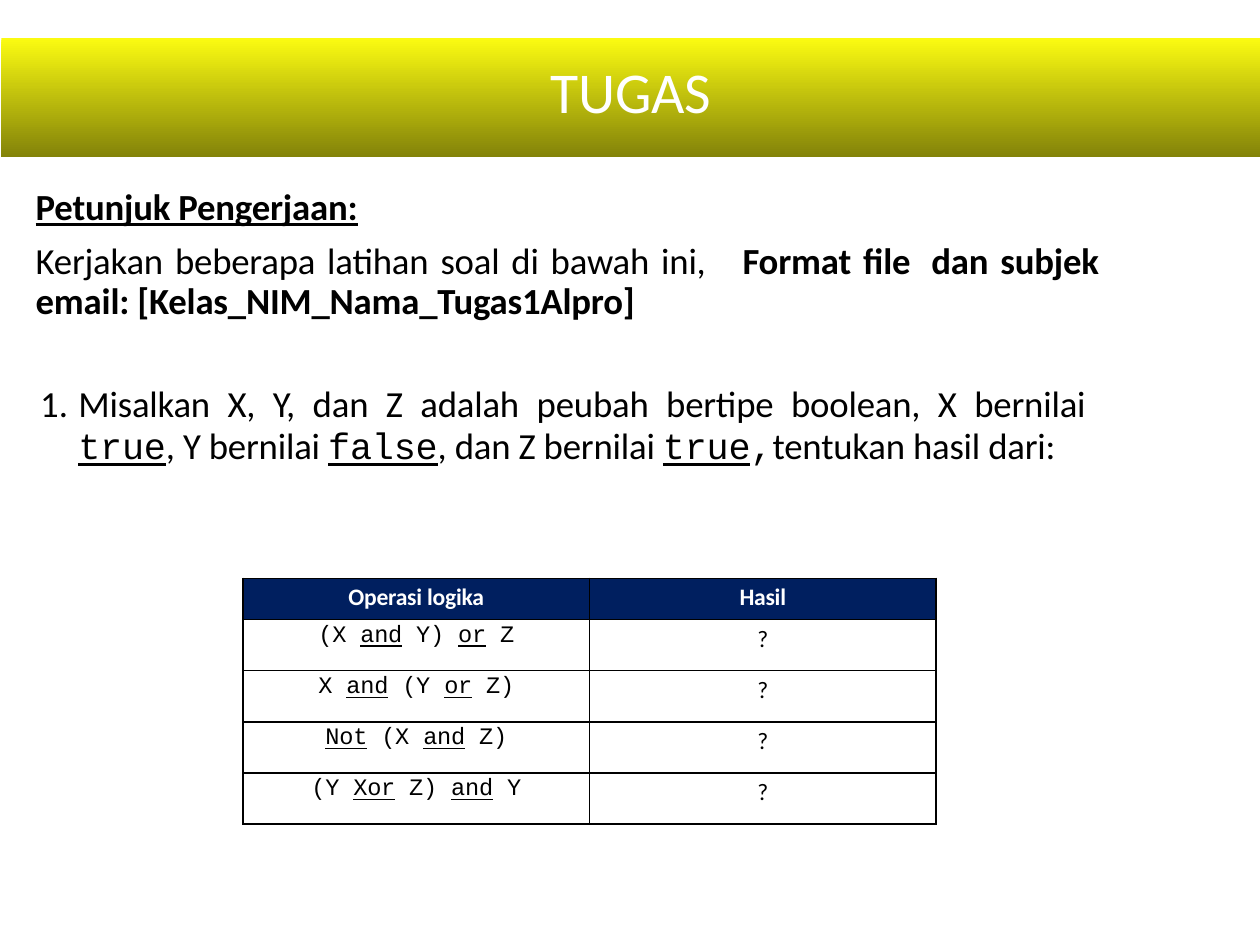
from lxml import etree
from pptx import Presentation
from pptx.dml.color import RGBColor
from pptx.enum.text import MSO_ANCHOR, MSO_AUTO_SIZE, PP_ALIGN
from pptx.oxml.ns import qn
from pptx.util import Cm, Pt

CENTER, LEFT, JUSTIFY = PP_ALIGN.CENTER, PP_ALIGN.LEFT, PP_ALIGN.JUSTIFY
TOP, NO_FIT = MSO_ANCHOR.TOP, MSO_AUTO_SIZE.NONE
BLACK = RGBColor(0x00, 0x00, 0x00)
WHITE = RGBColor(0xFF, 0xFF, 0xFF)
NAVY = RGBColor(0x00, 0x1F, 0x5F)
YELLOW = RGBColor(0xFB, 0xFB, 0x11)
OLIVE = RGBColor(0x83, 0x83, 0x09)
SANS, MONO = "Calibri", "Courier New"

TITLE = dict(name=SANS, size=Pt(33), bold=False)
BODY = dict(name=SANS, size=Pt(21), bold=False, underline=False)
CODE = dict(BODY, name=MONO)
KEYWORD = dict(CODE, underline=True)
CELL = dict(name=SANS, size=Pt(13.5), bold=False)
HEAD = dict(CELL, bold=True)
CELL_CODE = dict(CELL, name=MONO)


def set_all(obj, values):
    """Set each attribute of obj named in values."""
    for name, value in values.items():
        setattr(obj, name, value)


def spaced(text, fmt, gap):
    """Return runs for the words of text, with wide spaces between them."""
    runs = []
    for word in text.split():
        runs += [(" ", fmt, gap), (word, fmt)]
    return runs[1:]


def marked(text, fmt):
    """Return runs for text whose parts between bars are underlined."""
    return [(part, dict(fmt, underline=bool(i % 2)))
            for i, part in enumerate(text.split("|")) if part]


class Deck:
    """Holds the style and the current slide."""

    def __init__(self):
        """Start a 4:3 deck with one title-and-content slide."""
        self.prs = Presentation()
        self.prs.slide_width, self.prs.slide_height = Cm(25.4), Cm(19.05)
        self.s = self.prs.slides.add_slide(self.prs.slide_layouts[1])

    def place(self, sp, box, top_inset):
        """Move a placeholder and set up its text frame."""
        set_all(sp, dict(zip(("left", "top", "width", "height"), map(Cm, box))))
        tf = sp.text_frame
        set_all(tf, dict(margin_left=0, margin_right=0, margin_bottom=0,
                         margin_top=Cm(top_inset), vertical_anchor=TOP,
                         word_wrap=True, auto_size=NO_FIT))
        return tf

    def add_runs(self, p, runs, color=BLACK, align=LEFT, **layout):
        """Fill a paragraph with (text, format[, spacing]) runs."""
        set_all(p, dict(layout, alignment=align))
        for text, fmt, *gap in runs:
            if text == "\n":
                p.add_line_break()
                continue
            r = p.add_run()
            r.text = text
            set_all(r.font, fmt)
            r.font.color.rgb = color
            points = gap[0] if gap else -0.1
            r._r.get_or_add_rPr().set("spc", str(round(points * 100)))

    def bullet(self, p, margin=0, indent=0, number=False):
        """Number the paragraph, or take its bullet away."""
        pPr = p._p.get_or_add_pPr()
        pPr.set("marL", str(Cm(margin)))
        pPr.set("indent", str(Cm(indent)))
        if number:
            etree.SubElement(pPr, qn("a:buFont"), typeface="+mj-lt")
            etree.SubElement(pPr, qn("a:buAutoNum"), type="arabicPeriod")
        else:
            etree.SubElement(pPr, qn("a:buNone"))

    def title(self, text, box):
        """Put the title on a gradient band."""
        sp = self.s.shapes.title
        tf = self.place(sp, box, 0.36)
        sp.fill.gradient()
        sp.fill.gradient_angle = 270
        for stop, color in zip(sp.fill.gradient_stops, (YELLOW, OLIVE)):
            stop.color.rgb = color
        sp.line.fill.background()
        self.add_runs(tf.paragraphs[0], [(text, TITLE)], WHITE, CENTER)

    def body(self, box, paragraphs):
        """Put (runs, layout, bullet) paragraphs in the body."""
        tf = self.place(self.s.placeholders[1], box, 0.23)
        for i, (runs, layout, bullet) in enumerate(paragraphs):
            p = tf.add_paragraph() if i else tf.paragraphs[0]
            self.add_runs(p, runs, **layout)
            self.bullet(p, **bullet)

    def border(self, cell):
        """Draw a thin black line on all four sides of a cell."""
        tcPr = cell._tc.get_or_add_tcPr()
        for side in ("a:lnL", "a:lnR", "a:lnT", "a:lnB"):
            ln = etree.SubElement(tcPr, qn(side), w=str(Pt(1)))
            fill = etree.SubElement(ln, qn("a:solidFill"))
            etree.SubElement(fill, qn("a:srgbClr"), val=str(BLACK))

    def table(self, box, rows, head_height):
        """Add a table whose first row is the head; rows hold runs."""
        table = self.s.shapes.add_table(
            len(rows), len(rows[0]), *map(Cm, box)).table
        table.horz_banding = False
        row_height = (box[3] - head_height) / (len(rows) - 1)
        for i, row in enumerate(rows):
            table.rows[i].height = Cm(row_height if i else head_height)
            for j, runs in enumerate(row):
                cell = table.cell(i, j)
                set_all(cell, dict(margin_left=0, margin_right=0, margin_bottom=0,
                                   margin_top=Cm(0.07 if i and not j else 0.1)))
                self.border(cell)
                if i:
                    cell.fill.background()
                else:
                    cell.fill.solid()
                    cell.fill.fore_color.rgb = NAVY
                self.add_runs(cell.text_frame.paragraphs[0], runs,
                              BLACK if i else WHITE, CENTER)


def main():
    """Build the assignment slide."""
    deck = Deck()
    deck.title("TUGAS", (0.03, 0.76, 25.37, 2.41))

    strong = dict(BODY, bold=True)
    heading = [("Petunjuk Pengerjaan:", dict(strong, underline=True))]
    guide = [("Kerjakan beberapa latihan soal di bawah ini,", BODY),
             (" ", BODY, 14), ("Format file", strong), (" ", strong, 5),
             ("dan subjek email: [Kelas_NIM_Nama_Tugas1Alpro]", strong)]
    question = spaced("Misalkan X, Y, dan Z adalah peubah bertipe boolean, "
                      "X bernilai", BODY, 5.2)
    question += [("\n", BODY), ("true", KEYWORD), (", Y bernilai ", BODY),
                 ("false", KEYWORD), (", dan Z bernilai ", BODY),
                 ("true", KEYWORD), (",", CODE),
                 ("tentukan hasil dari:", BODY)]
    deck.body((0.69, 3.48, 21.46, 5.99), [
        (heading, dict(align=JUSTIFY), dict(margin=0.03)),
        (guide, dict(align=JUSTIFY, line_spacing=Pt(22.7),
                     space_before=Pt(8.2)), dict(margin=0.03)),
        (question, dict(line_spacing=Pt(23.8), space_before=Pt(35)),
         dict(margin=0.89, indent=-0.77, number=True)),
    ])

    operations = ("(X |and| Y) |or| Z", "X |and| (Y |or| Z)",
                  "|Not| (X |and| Z)", "(Y |Xor| Z) |and| Y")
    rows = [[[("Operasi logika", HEAD)], [("Hasil", HEAD)]]]
    rows += [[marked(op, CELL_CODE), [("?", CELL)]] for op in operations]
    deck.table((4.9, 11.66, 13.97, 4.95), rows, 0.83)
    deck.prs.save("out.pptx")


main()
